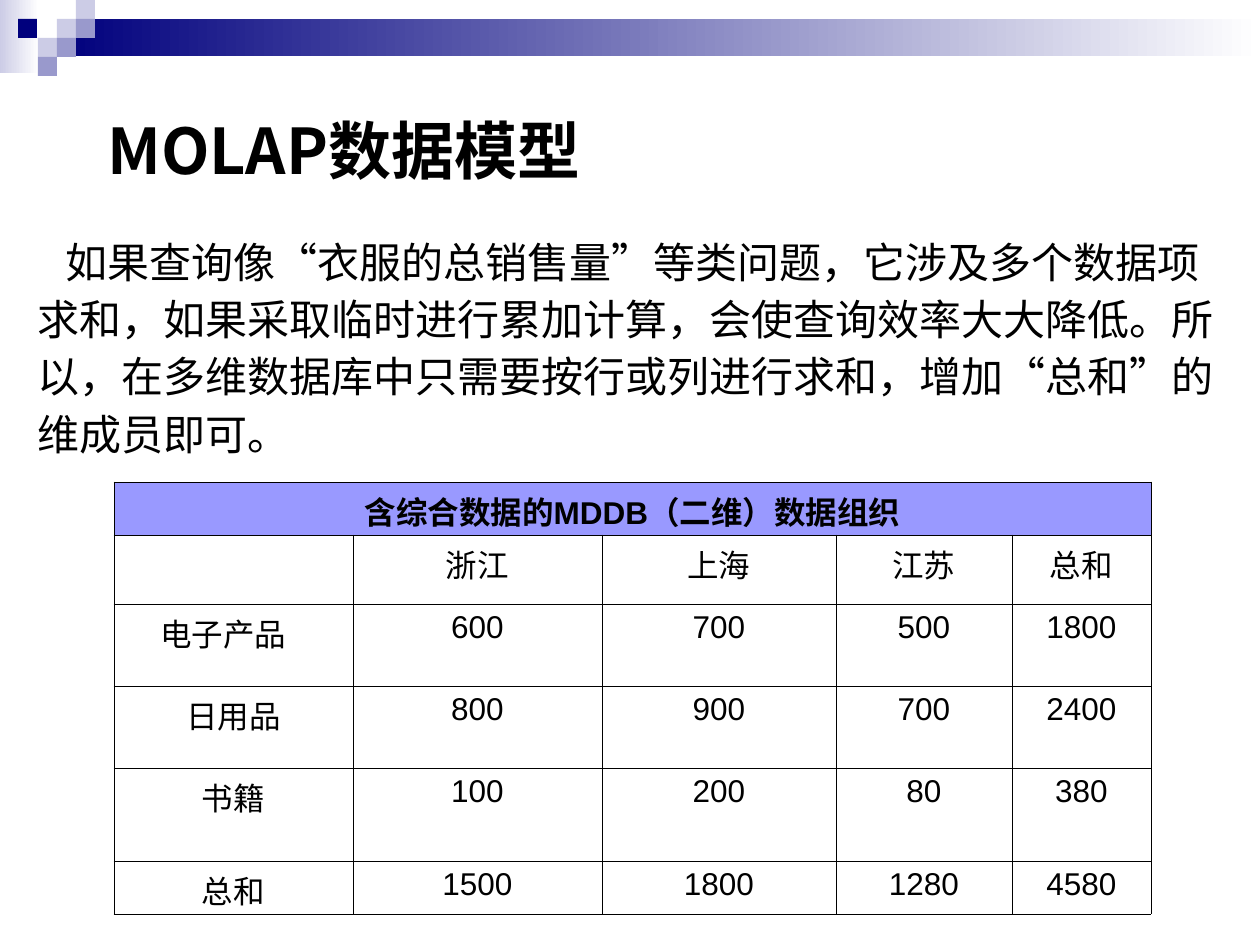
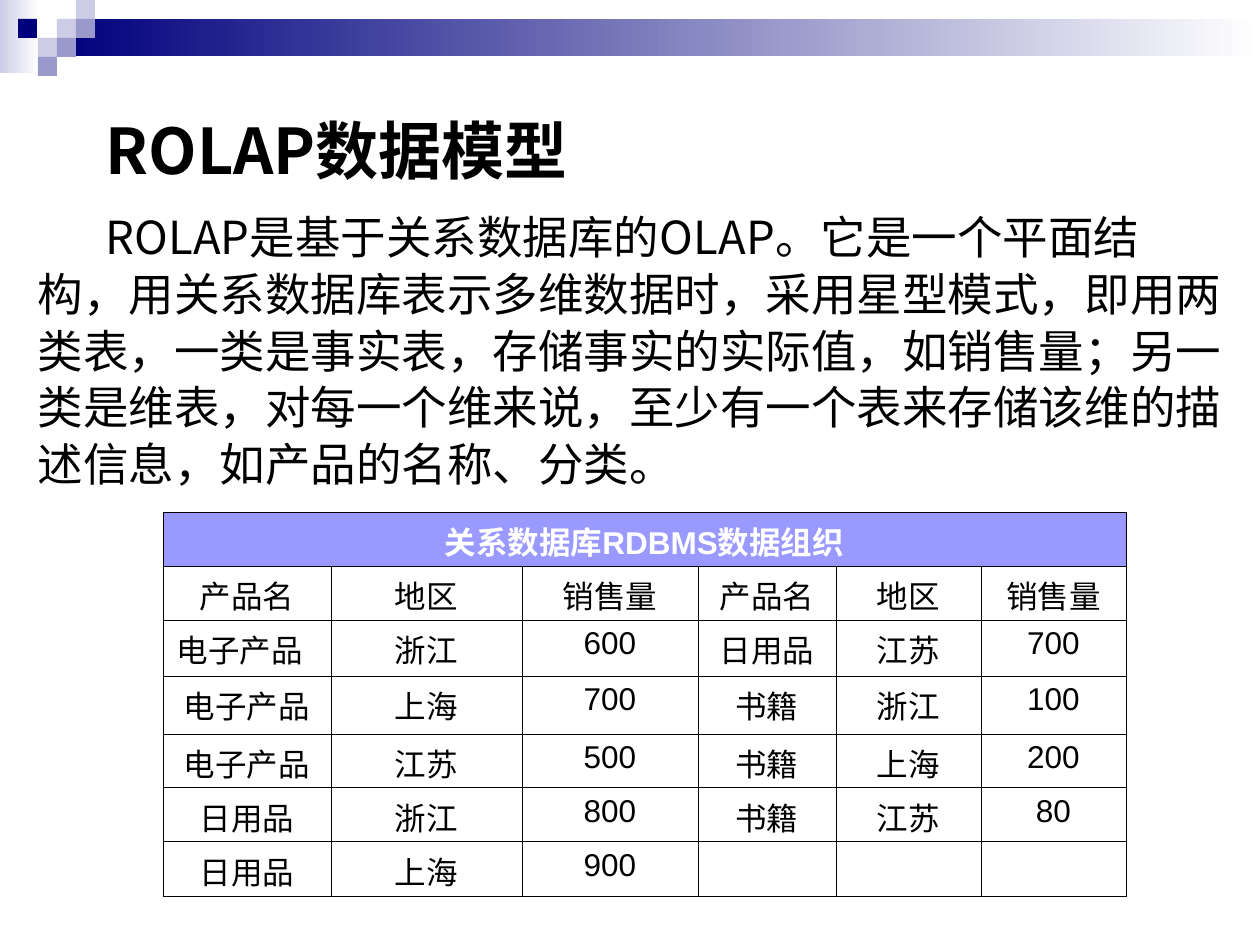
"""Build two slides on the MOLAP and ROLAP data models."""
from lxml import etree
from pptx import Presentation
from pptx import util as u
from pptx.dml.color import RGBColor
from pptx.enum import shapes, text
from pptx.oxml import ns

COLORS = {"navy": "00007D", "pale": "CCCCE6", "mid": "9999CC",
          "head": "9999FF", "black": "000000", "white": "FFFFFF"}
CJK, LATIN = "Noto Sans CJK SC", "Arial"
SQUARE = 19
SQUARE_X = (18, 38, 57, 76)
SQUARES = [(2, 1, "pale"), (3, 0, "pale"), (3, 1, "mid"), (1, 2, "pale"),
           (0, 1, "navy"), (2, 2, "mid"), (1, 3, "mid")]


def px(n):
    return u.Emu(round(n * u.Inches(1) / 126))


def rgb(name):
    return RGBColor.from_string(COLORS[name])


def sub(parent, tag, **attrs):
    return etree.SubElement(parent, ns.qn(tag), attrs)


class Deck:
    """Holds the style and the current slide."""

    def __init__(self):
        self.prs = Presentation()
        self.prs.slide_width, self.prs.slide_height = px(1260), px(945)
        self.s = None

    def slide(self):
        self.s = self.prs.slides.add_slide(self.prs.slide_layouts[1])

    def rect(self, x, y, w, h, color, fade=False):
        sp = self.s.shapes.add_shape(shapes.MSO_SHAPE.RECTANGLE, px(x), px(y), px(w), px(h))
        sp.shadow.inherit = False
        sp.line.fill.background()
        if fade:
            sp.fill.gradient()
            sp.fill.gradient_angle = 0
            for stop, name, pos in zip(sp.fill.gradient_stops, (color, "white"), (0, 1)):
                stop.color.rgb, stop.position = rgb(name), pos
        else:
            sp.fill.solid()
            sp.fill.fore_color.rgb = rgb(color)
        return sp

    def band(self):
        parts = [self.rect(0, 0, 39, 73, "pale", fade=True),
                 self.rect(57, 19, 1203, 37, "navy", fade=True)]
        parts += [self.rect(SQUARE_X[col], row * SQUARE, SQUARE, SQUARE, color)
                  for col, row, color in SQUARES]
        tree = self.prs.slide_master.shapes.element
        for i, sp in enumerate(parts):
            tree.insert(2 + i, sp.element)

    def run(self, p, words, size, font=CJK, color="black", bold=False):
        r = p.add_run()
        r.text = words
        r.font.size, r.font.bold, r.font.name = u.Pt(size), bold, font
        r.font.color.rgb = rgb(color)
        sub(r._r.get_or_add_rPr(), "a:ea", typeface=CJK)

    def place(self, sp, x, y, w, h):
        sp.left, sp.top, sp.width, sp.height = px(x), px(y), px(w), px(h)
        tf = sp.text_frame
        tf.auto_size = text.MSO_AUTO_SIZE.NONE
        p = tf.paragraphs[0]
        p.alignment = text.PP_ALIGN.LEFT
        return tf, p

    def title(self, words, x, w):
        tf, p = self.place(self.s.shapes.title, x, 105, w, 88)
        tf.word_wrap = False
        tf.vertical_anchor = text.MSO_ANCHOR.MIDDLE
        self.run(p, words, 36, bold=True)

    def body(self, words, y, size, spacing, indent, inset):
        tf, p = self.place(self.s.placeholders[1], 25, y, 1211, 318)
        tf.word_wrap = True
        tf.vertical_anchor = text.MSO_ANCHOR.TOP
        tf.margin_top, tf.margin_right = px(inset), px(10)
        p.line_spacing, p.space_before = spacing, u.Pt(0)
        pPr = p._p.get_or_add_pPr()
        pPr.set("marL", "0")
        pPr.set("indent", str(px(indent)))
        pPr.set("hangingPunct", "0")
        sub(pPr, "a:buNone")
        self.run(p, words, size)

    def cell(self, c, words, color="black", bold=False, fill=None):
        tcPr = c._tc.get_or_add_tcPr()
        for side in ("a:lnL", "a:lnR", "a:lnT", "a:lnB"):
            ln = sub(tcPr, side, w=str(u.Pt(0.45)))
            sub(sub(ln, "a:solidFill"), "a:srgbClr", val=COLORS["black"])
        if fill:
            c.fill.solid()
            c.fill.fore_color.rgb = rgb(fill)
        else:
            c.fill.background()
        c.margin_bottom = 0
        p = c.text_frame.paragraphs[0]
        p.alignment = text.PP_ALIGN.CENTER
        if words:
            self.run(p, words, 18, LATIN, color, bold)

    def table(self, x, y, widths, heights, caption, caption_color, rows):
        frame = self.s.shapes.add_table(len(heights), len(widths), px(x), px(y),
                                        px(sum(widths)), px(sum(heights)))
        t = frame.table
        t.first_row = t.horz_banding = False
        for col, w in zip(t.columns, widths):
            col.width = px(w)
        for row, h in zip(t.rows, heights):
            row.height = px(h)
        for j in range(len(widths)):
            self.cell(t.cell(0, j), "" if j else caption, caption_color, True, "head")
        t.cell(0, 0).merge(t.cell(0, len(widths) - 1))
        for i, row in enumerate(rows, 1):
            for j, words in enumerate(row):
                self.cell(t.cell(i, j), words)
        return t


def main():
    d = Deck()
    d.slide()
    d.band()
    d.title("MOLAP数据模型", 95, 520)
    d.body("如果查询像“衣服的总销售量”等类问题，它涉及多个数据项求和，如果采取临时进行累加计算，"
           "会使查询效率大大降低。所以，在多维数据库中只需要按行或列进行求和，"
           "增加“总和”的维成员即可。", 214, 24, 1.14, 28, 15)
    t = d.table(114, 482, (239, 249, 234, 176, 139), (53, 69, 82, 82, 93, 53),
                "含综合数据的MDDB（二维）数据组织", "black",
                [("", "浙江", "上海", "江苏", "总和"),
                 ("电子产品", "600", "700", "500", "1800"),
                 ("日用品", "800", "900", "700", "2400"),
                 ("书籍", "100", "200", "80", "380"),
                 ("总和", "1500", "1800", "1280", "4580")])
    t.cell(2, 0).margin_right = px(33)

    d.slide()
    d.title("ROLAP数据模型", 93, 503)
    d.body("ROLAP是基于关系数据库的OLAP。它是一个平面结构，用关系数据库表示多维数据时，"
           "采用星型模式，即用两类表，一类是事实表，存储事实的实际值，如销售量；另一类是维表，"
           "对每一个维来说，至少有一个表来存储该维的描述信息，如产品的名称、分类。",
           194, 26, 1.04, 68, 13)
    t = d.table(163, 512, (168, 191, 176, 138, 145, 145), (54, 54, 56, 58, 54, 54, 55),
                "关系数据库RDBMS数据组织", "white",
                [("产品名", "地区", "销售量") * 2,
                 ("电子产品", "浙江", "600", "日用品", "江苏", "700"),
                 ("电子产品", "上海", "700", "书籍", "浙江", "100"),
                 ("电子产品", "江苏", "500", "书籍", "上海", "200"),
                 ("日用品", "浙江", "800", "书籍", "江苏", "80"),
                 ("日用品", "上海", "900", "", "", "")])
    t.cell(2, 0).margin_right = px(27)
    d.prs.save("out.pptx")


if __name__ == "__main__":
    main()
